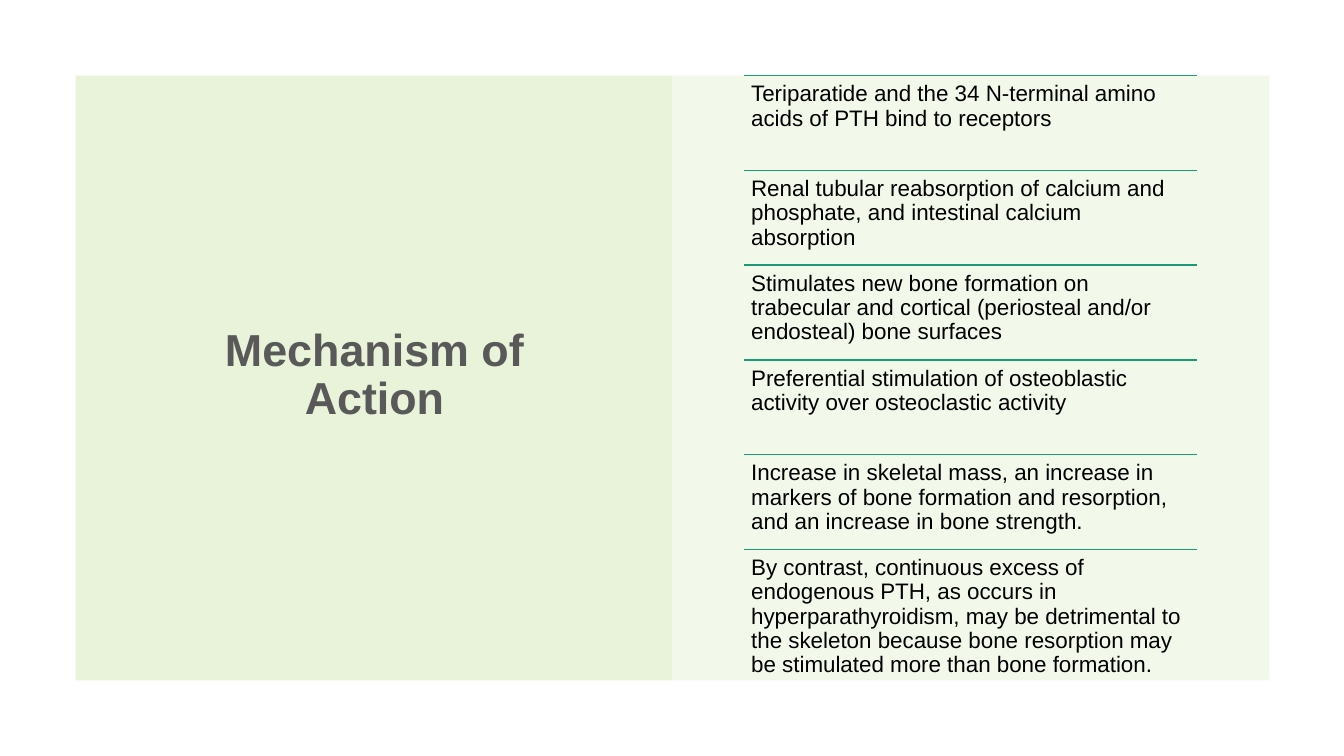
import pptx
import pptx.util
import pptx.dml.color
import pptx.enum.shapes
import pptx.enum.text
from lxml import etree
from pptx.oxml.ns import qn

Inches, Pt = pptx.util.Inches, pptx.util.Pt

HEADING = "Mechanism of Action"
STEPS = [
    "Teriparatide and the 34 N-terminal amino acids of PTH bind to receptors",
    "Renal tubular reabsorption of calcium and phosphate, and intestinal calcium absorption",
    "Stimulates new bone formation on trabecular and cortical (periosteal and/or endosteal) "
    "bone surfaces",
    "Preferential stimulation of osteoblastic activity over osteoclastic activity",
    "Increase in skeletal mass, an increase in markers of bone formation and resorption, "
    "and an increase in bone strength.",
    "By contrast, continuous excess of endogenous PTH, as occurs in hyperparathyroidism, "
    "may be detrimental to the skeleton because bone resorption may be stimulated more "
    "than bone formation.",
]
PALE_GREEN, RULE_GREEN, GREY, BLACK = "E8F3DA", "1D9A78", "595959", "000000"
MARGIN, PANEL_WIDTH, PANEL_HEIGHT = 0.75, 5.92, 6
STEP_LEFT, STEP_WIDTH, STEP_PITCH, STEP_INSET = 7.38, 4.49, 0.94, 0.07


def rgb(color):
    return pptx.dml.color.RGBColor.from_string(color)


def add_panel(slide, left, opacity=100):
    panel = slide.shapes.add_shape(
        pptx.enum.shapes.MSO_SHAPE.RECTANGLE,
        Inches(left), Inches(MARGIN), Inches(PANEL_WIDTH), Inches(PANEL_HEIGHT))
    panel.shadow.inherit = False
    panel.fill.solid()
    panel.fill.fore_color.rgb = rgb(PALE_GREEN)
    panel.line.fill.background()
    if opacity < 100:
        tint = panel.element.spPr.find(".//" + qn("a:srgbClr"))
        etree.SubElement(tint, qn("a:alpha")).set("val", str(opacity * 1000))


def set_text(frame, text, size, color, bold=False):
    frame.word_wrap = True
    frame.auto_size = pptx.enum.text.MSO_AUTO_SIZE.NONE
    frame.text = text
    paragraph = frame.paragraphs[0]
    paragraph.line_spacing = 0.9
    paragraph.font.name = "Arial"
    paragraph.font.size = Pt(size)
    paragraph.font.bold = bold
    paragraph.font.color.rgb = rgb(color)


def add_step(slide, text, top):
    """Add one statement with the rule above it."""
    rule = slide.shapes.add_connector(
        pptx.enum.shapes.MSO_CONNECTOR.STRAIGHT,
        Inches(STEP_LEFT), Inches(top), Inches(STEP_LEFT + STEP_WIDTH), Inches(top))
    rule.line.color.rgb = rgb(RULE_GREEN)
    rule.line.width = Pt(1)
    etree.SubElement(rule.element.spPr, qn("a:effectLst"))

    step = slide.shapes.add_textbox(
        Inches(STEP_LEFT), Inches(top), Inches(STEP_WIDTH), Inches(STEP_PITCH))
    frame = step.text_frame
    frame.margin_left = frame.margin_right = Inches(STEP_INSET)
    frame.margin_top = frame.margin_bottom = Inches(STEP_INSET)
    set_text(frame, text, 16, BLACK)


def main():
    deck = pptx.Presentation()
    deck.slide_width, deck.slide_height = Inches(13.33), Inches(7.5)
    slide = deck.slides.add_slide(deck.slide_layouts[5])

    add_panel(slide, MARGIN)

    title = slide.shapes.title
    slide.shapes.element.append(title.element)  # bring in front of the left panel
    title.left, title.top = Inches(1.79), Inches(1.46)
    title.width, title.height = Inches(3.85), Inches(4.54)
    set_text(title.text_frame, HEADING, 32, GREY, bold=True)
    title.text_frame.vertical_anchor = pptx.enum.text.MSO_ANCHOR.MIDDLE
    title.text_frame.paragraphs[0].alignment = pptx.enum.text.PP_ALIGN.CENTER

    add_panel(slide, MARGIN + PANEL_WIDTH, opacity=55)
    for index, text in enumerate(STEPS):
        add_step(slide, text, MARGIN + index * STEP_PITCH)

    deck.save("out.pptx")


if __name__ == "__main__":
    main()
